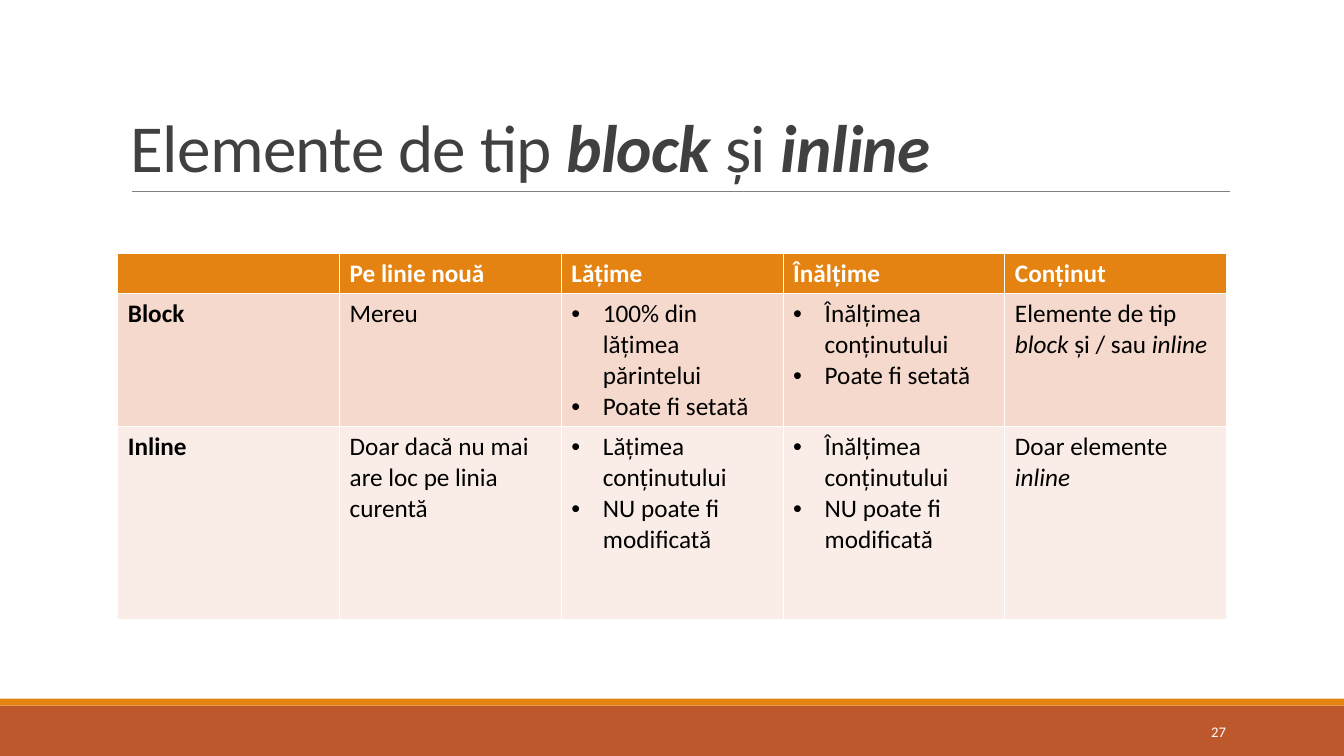
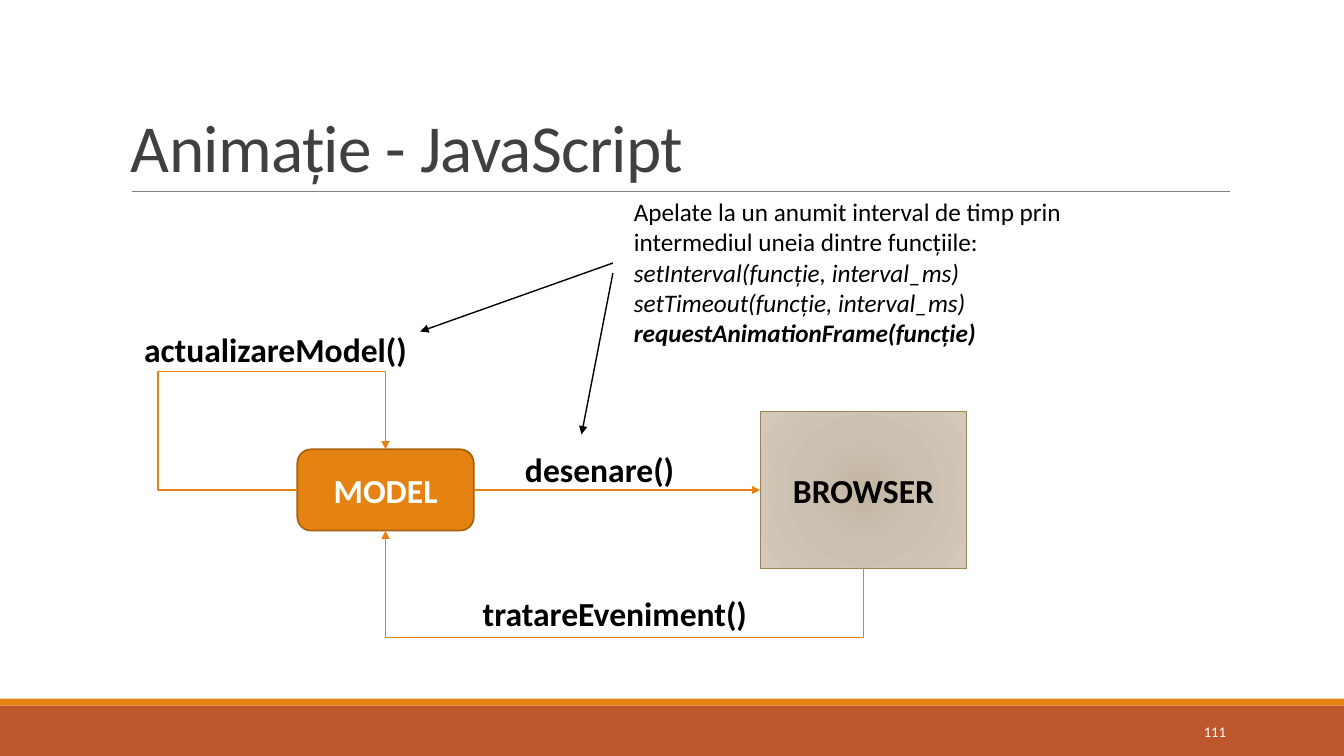
from lxml import etree
from pptx import Presentation
from pptx.dml.color import RGBColor
from pptx.enum import shapes, text
from pptx.oxml import ns
from pptx.util import Pt

FONT = "Calibri"
BLACK = RGBColor(0x00, 0x00, 0x00)
WHITE = RGBColor(0xFF, 0xFF, 0xFF)
TITLE_GREY = RGBColor(0x40, 0x40, 0x40)
RULE_GREY = RGBColor(0x80, 0x80, 0x80)
ORANGE = RGBColor(0xE4, 0x83, 0x12)
DARK_ORANGE = RGBColor(0xA9, 0x61, 0x0D)
RUST = RGBColor(0xBD, 0x58, 0x2C)
BROWN = RGBColor(0x9B, 0x83, 0x57)
PINK = RGBColor(0xF5, 0xD9, 0xCC)
PALE_PINK = RGBColor(0xFA, 0xED, 0xE7)
BROWSER_STOPS = [
    (0, RGBColor(0xC2, 0xB5, 0xA2)),
    (45, RGBColor(0xCC, 0xC1, 0xB1)),
    (100, RGBColor(0xD4, 0xC8, 0xB8)),
]

SLIDE_WIDTH, SLIDE_HEIGHT = 960, 540
TITLE_BOX = (86.4, 22.3, 792, 114.5)
NUMBER_BOX = (779.8, 508.3, 103, 28.8)
TABLE_BOX = (84.2, 180.7, 792, 262.2)
DIAGRAM_BOX = (94, 136.8, 690, 320)
ROW_HEIGHTS = (29.2, 95, 138)
BULLET_INDENT = 22.5

HEADINGS = ["", "Pe linie nouă", "Lățime", "Înălțime", "Conținut"]
ELEMENT_ROWS = [
    ("Block", "Mereu",
     ["100% din lățimea părintelui", "Poate fi setată"],
     ["Înălțimea conținutului", "Poate fi setată"],
     [("Elemente de tip ", ""), ("block", "i"), (" și / sau ", ""), ("inline", "i")]),
    ("Inline", "Doar dacă nu mai are loc pe linia curentă",
     ["Lățimea conținutului", "NU poate fi modificată"],
     ["Înălțimea conținutului", "NU poate fi modificată"],
     [("Doar elemente ", ""), ("inline", "i")]),
]


def child(parent, tag, **attributes):
    """Append a DrawingML element to parent."""
    return etree.SubElement(parent, ns.qn("a:" + tag), attributes)


def points(box):
    """Turn plain numbers into lengths in points."""
    return [Pt(value) for value in box]


def write(paragraph, content, size, color, bold=None, italic=None, align=None):
    """Write a string, or (text, style) runs, in one paragraph."""
    if align is not None:
        paragraph.alignment = align
    font = paragraph.font
    font.name, font.size, font.bold, font.italic = FONT, Pt(size), bold, italic
    font.color.rgb = color
    runs = [(content, "")] if isinstance(content, str) else content
    for words, style in runs:
        if words:
            run = paragraph.add_run()
            run.text = words
            if "b" in style:
                run.font.bold = True
            if "i" in style:
                run.font.italic = True


def add_text(slide, box, anchor=text.MSO_ANCHOR.TOP):
    """Add a wrapping text box and return its frame."""
    frame = slide.shapes.add_textbox(*points(box)).text_frame
    frame.word_wrap = True
    frame.vertical_anchor = anchor
    return frame


def add_block(slide, preset, box, fill=None, line=None, line_width=1):
    """Add a preset shape without shadow."""
    shape = slide.shapes.add_shape(preset, *points(box))
    shape.shadow.inherit = False
    if fill is not None:
        shape.fill.solid()
        shape.fill.fore_color.rgb = fill
    if line is None:
        shape.line.fill.background()
    else:
        shape.line.color.rgb = line
        shape.line.width = Pt(line_width)
    return shape


def add_line(slide, start, end, color, width=1, arrow=True,
             kind=shapes.MSO_CONNECTOR.STRAIGHT):
    """Add a connector, with an arrowhead at its end if asked."""
    connector = slide.shapes.add_connector(kind, *points(start + end))
    connector.line.color.rgb = color
    connector.line.width = Pt(width)
    if arrow:
        child(connector.line._get_or_add_ln(), "tailEnd", type="triangle")
    child(connector._element.spPr, "effectLst")
    return connector


def add_elbow(slide, source, target, start, end, preset, rotation, adjustments):
    """Join two shapes, each given with a side, by a mirrored and turned elbow."""
    connector = add_line(slide, start, end, ORANGE, kind=shapes.MSO_CONNECTOR.ELBOW)
    connector.begin_connect(*source)
    connector.end_connect(*target)
    width, height = abs(end[0] - start[0]), abs(end[1] - start[1])
    if rotation == 90:
        width, height = height, width
    connector.left = Pt((start[0] + end[0] - width) / 2)
    connector.top = Pt((start[1] + end[1] - height) / 2)
    connector.width, connector.height = Pt(width), Pt(height)
    properties = connector._element.spPr
    transform = properties.find(ns.qn("a:xfrm"))
    transform.attrib.pop("flipV", None)
    transform.set("flipH", "1")
    transform.set("rot", str(rotation * 60000))
    geometry = properties.find(ns.qn("a:prstGeom"))
    geometry.set("prst", preset)
    guides = geometry.find(ns.qn("a:avLst"))
    for number, ratio in enumerate(adjustments, 1):
        child(guides, "gd", name=f"adj{number}", fmla=f"val {round(ratio * 100000)}")


def fill_radial(shape, stops):
    """Fill a shape with a gradient spreading from its centre."""
    geometry = shape._element.spPr.find(ns.qn("a:prstGeom"))
    gradient = etree.Element(ns.qn("a:gradFill"), rotWithShape="1")
    stop_list = child(gradient, "gsLst")
    for position, color in stops:
        child(child(stop_list, "gs", pos=str(position * 1000)), "srgbClr", val=str(color))
    center = dict.fromkeys("ltrb", "50000")
    child(child(gradient, "path", path="circle"), "fillToRect", **center)
    geometry.addnext(gradient)


def add_base(presentation, title, number):
    """Add a slide with its bands, title, rule and number."""
    slide = presentation.slides.add_slide(presentation.slide_layouts[6])
    rectangle = shapes.MSO_SHAPE.RECTANGLE
    add_block(slide, rectangle, (0, 504, SLIDE_WIDTH, 36), RUST)
    add_block(slide, rectangle, (0, 499, SLIDE_WIDTH, 5), ORANGE)
    add_line(slide, (94.3, 136.8), (878.4, 136.8), RULE_GREY, 0.5, arrow=False)
    heading = add_text(slide, TITLE_BOX, text.MSO_ANCHOR.BOTTOM).paragraphs[0]
    heading.line_spacing = 0.85
    write(heading, title, 48, TITLE_GREY)
    for run in heading.runs:
        run._r.get_or_add_rPr().set("spc", "-50")
    footer = add_text(slide, NUMBER_BOX, text.MSO_ANCHOR.MIDDLE)
    write(footer.paragraphs[0], str(number), 10.5, WHITE, align=text.PP_ALIGN.RIGHT)
    return slide


def fill_cell(cell, content, fill, color, bold):
    """Fill a cell with a paragraph, or with bullets for a list of strings."""
    cell.fill.solid()
    cell.fill.fore_color.rgb = fill
    bulleted = isinstance(content, list) and isinstance(content[0], str)
    frame = cell.text_frame
    for index, item in enumerate(content if bulleted else [content]):
        paragraph = frame.add_paragraph() if index else frame.paragraphs[0]
        if bulleted:
            properties = paragraph._p.get_or_add_pPr()
            properties.set("marL", str(Pt(BULLET_INDENT)))
            properties.set("indent", str(-Pt(BULLET_INDENT)))
            child(properties, "buFont", typeface="Arial")
            child(properties, "buChar", char="•")
        write(paragraph, item, 18, color, bold)


def add_elements_table(slide, box):
    """Add the table comparing block and inline elements."""
    rows = [HEADINGS, *ELEMENT_ROWS]
    table = slide.shapes.add_table(len(rows), len(HEADINGS), *points(box)).table
    for column in table.columns:
        column.width = Pt(box[2] / len(HEADINGS))
    fills = (ORANGE, PINK, PALE_PINK)
    for row_index, (contents, height, fill) in enumerate(zip(rows, ROW_HEIGHTS, fills)):
        table.rows[row_index].height = Pt(height)
        header = row_index == 0
        for column_index, content in enumerate(contents):
            fill_cell(table.cell(row_index, column_index), content, fill,
                      WHITE if header else BLACK, header or column_index == 0)


def add_animation_diagram(slide, box):
    """Add the loop between model and browser with its calls."""
    left, top = box[:2]

    def at(x, y):
        """Place a point inside the diagram box."""
        return left + x, top + y

    model = add_block(slide, shapes.MSO_SHAPE.ROUNDED_RECTANGLE,
                      (*at(118.4, 184.2), 126, 58), ORANGE, DARK_ORANGE, 1.25)
    browser = add_block(slide, shapes.MSO_SHAPE.RECTANGLE,
                        (*at(449, 157.2), 147.6, 112), line=BROWN)
    fill_radial(browser, BROWSER_STOPS)
    for shape, label, color in ((model, "MODEL", WHITE), (browser, "BROWSER", BLACK)):
        shape.text_frame.vertical_anchor = text.MSO_ANCHOR.MIDDLE
        write(shape.text_frame.paragraphs[0], label, 24, color, True,
              align=text.PP_ALIGN.CENTER)

    add_elbow(slide, (browser, 2), (model, 2), at(522.8, 269.2), at(181.4, 242.2),
              "bentConnector3", 90, [-1.83])
    add_elbow(slide, (model, 1), (model, 0), at(118.4, 213.2), at(181.4, 184.2),
              "bentConnector4", 180, [-1.58, 2.92])
    drawing = add_line(slide, at(244.4, 213.2), at(449, 213.2), ORANGE)
    drawing.begin_connect(model, 3)
    drawing.end_connect(browser, 1)

    for label, x, y in (("actualizareModel()", 1.8, 94.3), ("desenare()", 273.9, 180),
                        ("tratareEveniment()", 243.7, 283)):
        frame = add_text(slide, (*at(x, y), 242, 36))
        write(frame.paragraphs[0], label, 24, BLACK, True)

    note = add_text(slide, (*at(351.7, 0), 321, 116.6))
    lines = (("Apelate la un anumit interval de timp prin intermediul uneia dintre funcțiile:",
              None, None),
             ("setInterval(funcție, interval_ms)", None, True),
             ("setTimeout(funcție, interval_ms)", None, True),
             ("requestAnimationFrame(funcție)", True, True))
    for index, (words, bold, italic) in enumerate(lines):
        paragraph = note.add_paragraph() if index else note.paragraphs[0]
        write(paragraph, words, 18, BLACK, bold, italic)
    add_line(slide, at(343.8, 51.1), at(206.2, 100), BLACK)
    add_line(slide, at(343.8, 58.3), at(321.4, 173.5), BLACK)


def main():
    """Build and save the presentation."""
    presentation = Presentation()
    presentation.slide_width, presentation.slide_height = points((SLIDE_WIDTH, SLIDE_HEIGHT))
    title = [("Elemente de tip ", ""), ("block", "bi"), (" și ", ""), ("inline", "bi")]
    add_elements_table(add_base(presentation, title, 27), TABLE_BOX)
    add_animation_diagram(add_base(presentation, "Animație - JavaScript", 111), DIAGRAM_BOX)
    presentation.save("out.pptx")


if __name__ == "__main__":
    main()
